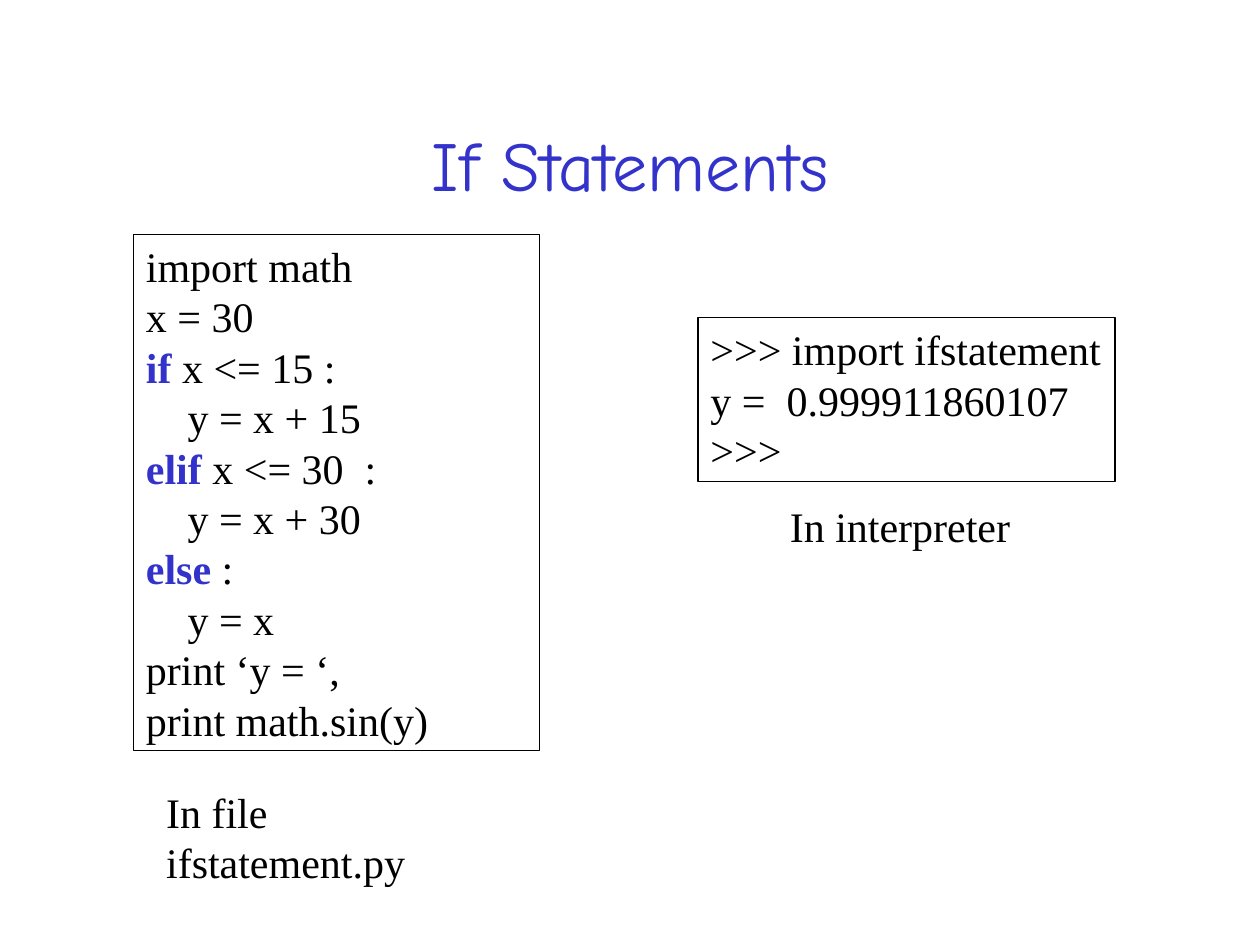
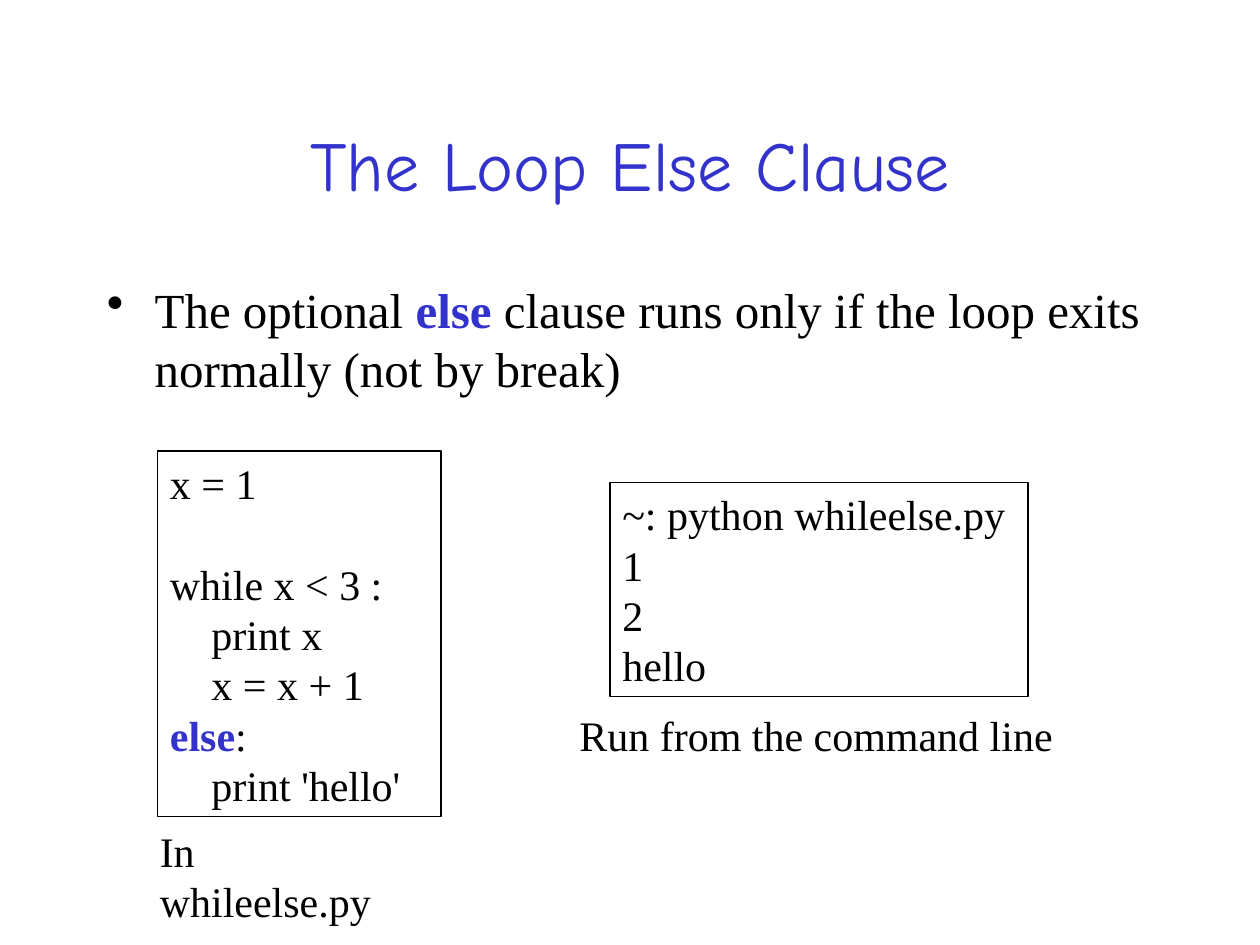
from dataclasses import dataclass

from lxml import etree
from pptx import Presentation
from pptx.dml.color import RGBColor
from pptx.enum.shapes import MSO_SHAPE as Shape
from pptx.enum.text import MSO_ANCHOR as Anchor, MSO_AUTO_SIZE as AutoSize, PP_ALIGN as Align
from pptx.oxml.ns import qn
from pptx.util import Inches, Pt


@dataclass(frozen=True)
class Theme:
    ink: RGBColor = RGBColor(0x00, 0x00, 0x00)
    accent: RGBColor = RGBColor(0x33, 0x33, 0xCC)
    title_font: str = "Comic Neue"
    body_font: str = "Times New Roman"
    title_size: float = 40
    bullet_size: float = 28
    code_size: float = 24
    leading: float = 1.2
    border: float = 0.75
    code_indent: float = 0.33
    bullet_indent: float = 0.38


THEME = Theme()


@dataclass(frozen=True)
class Frame:
    left: float
    top: float
    width: float
    height: float

    def lengths(self) -> list:
        return [Inches(v) for v in (self.left, self.top, self.width, self.height)]


@dataclass(frozen=True)
class Line:
    """One line of code; keywords stand between bars."""
    text: str
    level: int = 0
    gap_lines: int = 0


@dataclass(frozen=True)
class Listing:
    frame: Frame
    lines: tuple
    caption: str
    caption_frame: Frame


TITLE_FRAME = Frame(0.75, 0.67, 8.5, 1.25)
BULLET_FRAME = Frame(0.75, 2.17, 8.5, 1.33)


def apply(target, values: dict) -> None:
    for name, value in values.items():
        setattr(target, name, value)


def add_spans(para, text: str, size: float) -> None:
    """Write text, with every part between bars as a bold keyword."""
    for index, part in enumerate(text.split("|")):
        if not part:
            continue
        keyword = index % 2 == 1
        span = para.add_run()
        span.text = part
        apply(span.font, {"name": THEME.body_font, "size": Pt(size), "bold": keyword})
        span.font.color.rgb = THEME.accent if keyword else THEME.ink
    para.line_spacing = Pt(size * THEME.leading)


def add_title(page, text: str) -> None:
    frame = page.shapes.add_textbox(*TITLE_FRAME.lengths()).text_frame
    apply(frame, {"word_wrap": True, "vertical_anchor": Anchor.MIDDLE})
    para = frame.paragraphs[0]
    para.alignment = Align.CENTER
    span = para.add_run()
    span.text = text
    apply(span.font, {"name": THEME.title_font, "size": Pt(THEME.title_size)})
    span.font.color.rgb = THEME.accent


def add_bullet(page, text: str) -> None:
    frame = page.shapes.add_textbox(*BULLET_FRAME.lengths()).text_frame
    frame.word_wrap = True
    para = frame.paragraphs[0]
    add_spans(para, text, THEME.bullet_size)
    para.space_before = Pt(7)
    props = para._p.get_or_add_pPr()
    indent = Inches(THEME.bullet_indent)
    props.set("marL", str(indent))
    props.set("indent", str(-indent))
    etree.SubElement(props, qn("a:buChar")).set("char", "•")


def add_code(page, place: Frame, lines: tuple) -> None:
    box = page.shapes.add_shape(Shape.RECTANGLE, *place.lengths())
    box.shadow.inherit = False
    box.fill.background()
    box.line.color.rgb = THEME.ink
    box.line.width = Pt(THEME.border)
    frame = box.text_frame
    apply(frame, {"word_wrap": True, "vertical_anchor": Anchor.TOP,
                  "auto_size": AutoSize.SHAPE_TO_FIT_TEXT})
    for index, line in enumerate(lines):
        para = frame.add_paragraph() if index else frame.paragraphs[0]
        para.alignment = Align.LEFT
        add_spans(para, line.text, THEME.code_size)
        if line.gap_lines:
            para.space_before = Pt(line.gap_lines * THEME.code_size * THEME.leading)
        if line.level:
            props = para._p.get_or_add_pPr()
            props.set("marL", str(Inches(line.level * THEME.code_indent)))


def add_caption(page, place: Frame, text: str) -> None:
    frame = page.shapes.add_textbox(*place.lengths()).text_frame
    apply(frame, {"word_wrap": False, "auto_size": AutoSize.SHAPE_TO_FIT_TEXT})
    add_spans(frame.paragraphs[0], text, THEME.code_size)


def add_page(deck, title: str, listings: tuple, bullet: str = "") -> None:
    page = deck.slides.add_slide(deck.slide_layouts[6])
    add_title(page, title)
    if bullet:
        add_bullet(page, bullet)
    for listing in listings:
        add_code(page, listing.frame, listing.lines)
        add_caption(page, listing.caption_frame, listing.caption)


# Slide 1: if, elif and else
IF_LISTINGS = (
    Listing(
        Frame(1.06, 1.86, 3.22, 4.1),
        (Line("import math"), Line("x = 30"),
         Line("|if| x <= 15 :"), Line("y = x + 15", 1),
         Line("|elif| x <= 30  :"), Line("y = x + 30", 1),
         Line("|else| :"), Line("y = x", 1),
         Line("print ‘y = ‘,"), Line("print math.sin(y)")),
        "In file ifstatement.py", Frame(1.22, 6.19, 2.98, 0.5)),
    Listing(
        Frame(5.54, 2.52, 3.31, 1.3),
        (Line(">>> import ifstatement"), Line("y =  0.999911860107"), Line(">>>")),
        "In interpreter", Frame(6.17, 3.92, 1.95, 0.5)),
)

# Slide 2: else after a loop
LOOP_LISTINGS = (
    Listing(
        Frame(1.25, 3.58, 2.25, 2.9),
        (Line("x = 1"), Line("while x < 3 :", gap_lines=1),
         Line("print x", 1), Line("x = x + 1", 1),
         Line("|else|:"), Line("print 'hello'", 1)),
        "In whileelse.py", Frame(1.17, 6.5, 2.23, 0.5)),
    Listing(
        Frame(4.84, 3.83, 3.32, 1.7),
        (Line("~: python whileelse.py"), Line("1"), Line("2"), Line("hello")),
        "Run from the command line", Frame(4.5, 5.58, 3.96, 0.5)),
)


def main() -> None:
    deck = Presentation()
    apply(deck, {"slide_width": Inches(10), "slide_height": Inches(7.5)})
    add_page(deck, "If Statements", IF_LISTINGS)
    add_page(deck, "The Loop Else Clause", LOOP_LISTINGS,
             "The optional |else| clause runs only if the loop exits normally (not by break)")
    deck.save("out.pptx")


if __name__ == "__main__":
    main()
